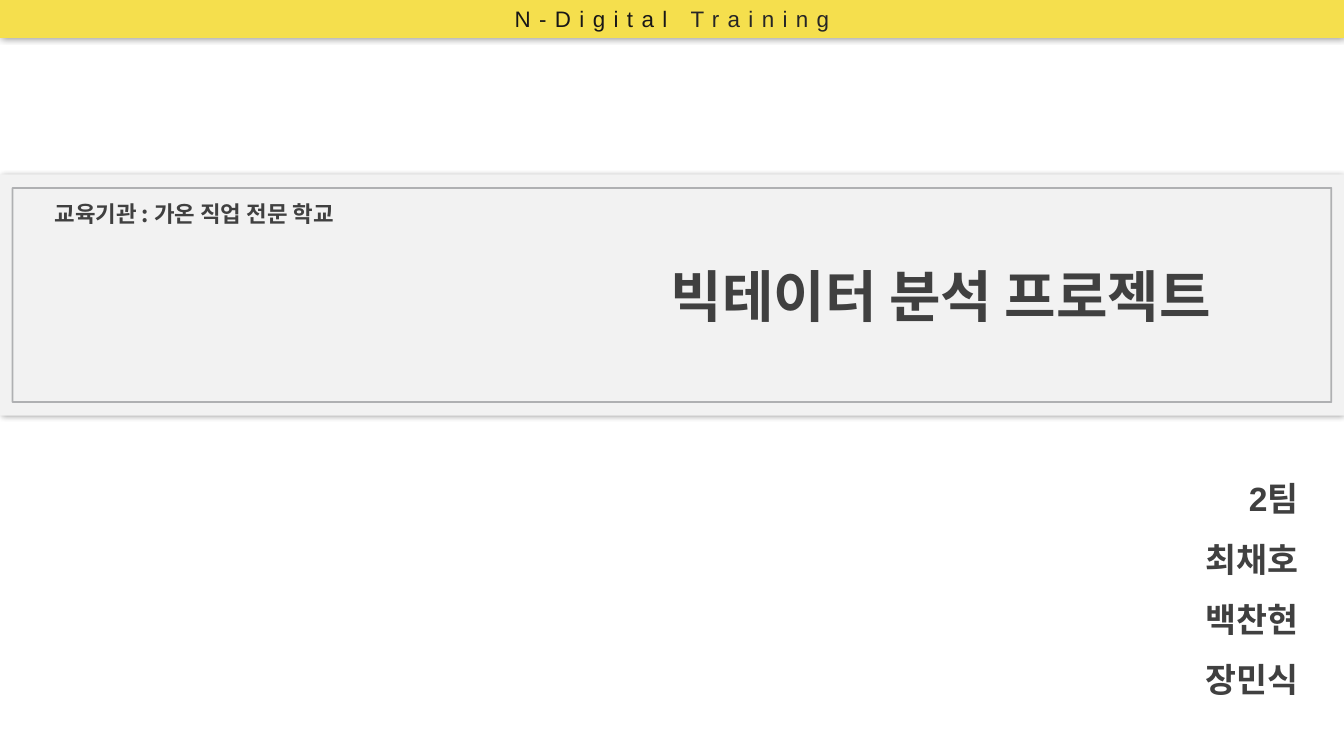
from lxml import etree
from pptx import Presentation
from pptx.dml.color import RGBColor
from pptx.enum.shapes import MSO_SHAPE
from pptx.enum.text import MSO_ANCHOR, MSO_AUTO_SIZE, PP_ALIGN
from pptx.oxml.ns import qn
from pptx.util import Pt

RECT = MSO_SHAPE.RECTANGLE
MIDDLE = MSO_ANCHOR.MIDDLE
GROW = MSO_AUTO_SIZE.SHAPE_TO_FIT_TEXT
CENTER, RIGHT = PP_ALIGN.CENTER, PP_ALIGN.RIGHT
PX = 9525
WIDE, HIGH = 1280, 720
HANGUL = "Noto Sans CJK KR"
HUES = {"gold": "F5DF4D", "band": "F2F2F2", "frame": "939597",
        "ink": "181717", "soft": "262626", "text": "404040", "shade": "000000"}


def color(name):
    return RGBColor.from_string(HUES[name])


def emu(box):
    return [n * PX for n in box]


def sub(node, tag, **attrs):
    return etree.SubElement(node, qn(tag), attrs)


def add_rect(slide, box, fill=None):
    rect = slide.shapes.add_shape(RECT, *emu(box))
    rect.shadow.inherit = False
    if fill:
        rect.fill.solid()
        rect.fill.fore_color.rgb = color(fill)
        rect.line.fill.background()
    else:
        rect.fill.background()
    return rect


def add_glow(rect):
    """Soft shadow all round the shape."""
    effects = rect._element.spPr.find(qn("a:effectLst"))
    outer = sub(effects, "a:outerShdw", blurRad=str(Pt(5)), dist="0", dir="0",
                algn="ctr", rotWithShape="0")
    shade = sub(outer, "a:srgbClr", val=HUES["shade"])
    sub(shade, "a:alpha", val="40000")


def add_run(para, text, size, hue="text", bold=True, face="Arial"):
    run = para.add_run()
    run.text = text
    look = {"size": Pt(size), "bold": bold, "name": face}
    for key, value in look.items():
        setattr(run.font, key, value)
    run.font.color.rgb = color(hue)
    sub(run._r.get_or_add_rPr(), "a:ea", typeface=HANGUL)
    return run


def add_text(slide, box, lines, size, align=CENTER, face="Arial", space=None, pad=0):
    frame = slide.shapes.add_textbox(*emu(box)).text_frame
    look = {"word_wrap": True, "auto_size": GROW,
            "margin_top": pad * PX, "margin_bottom": pad * PX}
    for key, value in look.items():
        setattr(frame, key, value)
    for i, line in enumerate(lines):
        para = frame.add_paragraph() if i else frame.paragraphs[0]
        para.alignment = align
        para.line_spacing = space
        add_run(para, line, size, face=face)


def add_team(slide, box):
    names = ["2팀", "최채호", "백찬현", "장민식"]
    add_text(slide, box, names, 24, align=RIGHT, space=1.5)


def add_band(slide, box):
    x, y, w, h = box
    add_glow(add_rect(slide, box, "band"))
    # School and title
    add_text(slide, (x + 21, y + 20, 328, 36), ["교육기관 : 가온 직업 전문 학교"], 16,
             face=HANGUL, pad=5)
    add_text(slide, (x + 541, y + 83, 710, 64), ["빅테이터 분석 프로젝트"], 40)


def add_head(slide, box):
    bar = add_rect(slide, box, "gold")
    add_glow(bar)
    bar.text_frame.vertical_anchor = MIDDLE
    para = bar.text_frame.paragraphs[0]
    para.alignment = CENTER
    for text, hue in (("N-Digital ", "ink"), ("Training", "soft")):
        run = add_run(para, text, 16, hue, bold=False)
        run._r.get_or_add_rPr().set("spc", "600")


def add_frame(slide, box):
    """Thin outline set inside the band."""
    x, y, w, h = box
    line = add_rect(slide, (x + 12, y + 13, w - 24, h - 26)).line
    line.color.rgb = color("frame")
    line.width = Pt(1.25)
    tint = line._ln.find(qn("a:solidFill")).find(qn("a:srgbClr"))
    sub(tint, "a:alpha", val="70000")


def main():
    deck = Presentation()
    deck.slide_width, deck.slide_height = emu((WIDE, HIGH))
    slide = deck.slides.add_slide(deck.slide_layouts[6])
    band = (0, 166, WIDE, 230)
    add_team(slide, (705, 436, 541, 232))
    add_band(slide, band)
    add_head(slide, (0, 0, WIDE, 36))
    add_frame(slide, band)
    deck.save("out.pptx")


if __name__ == "__main__":
    main()
